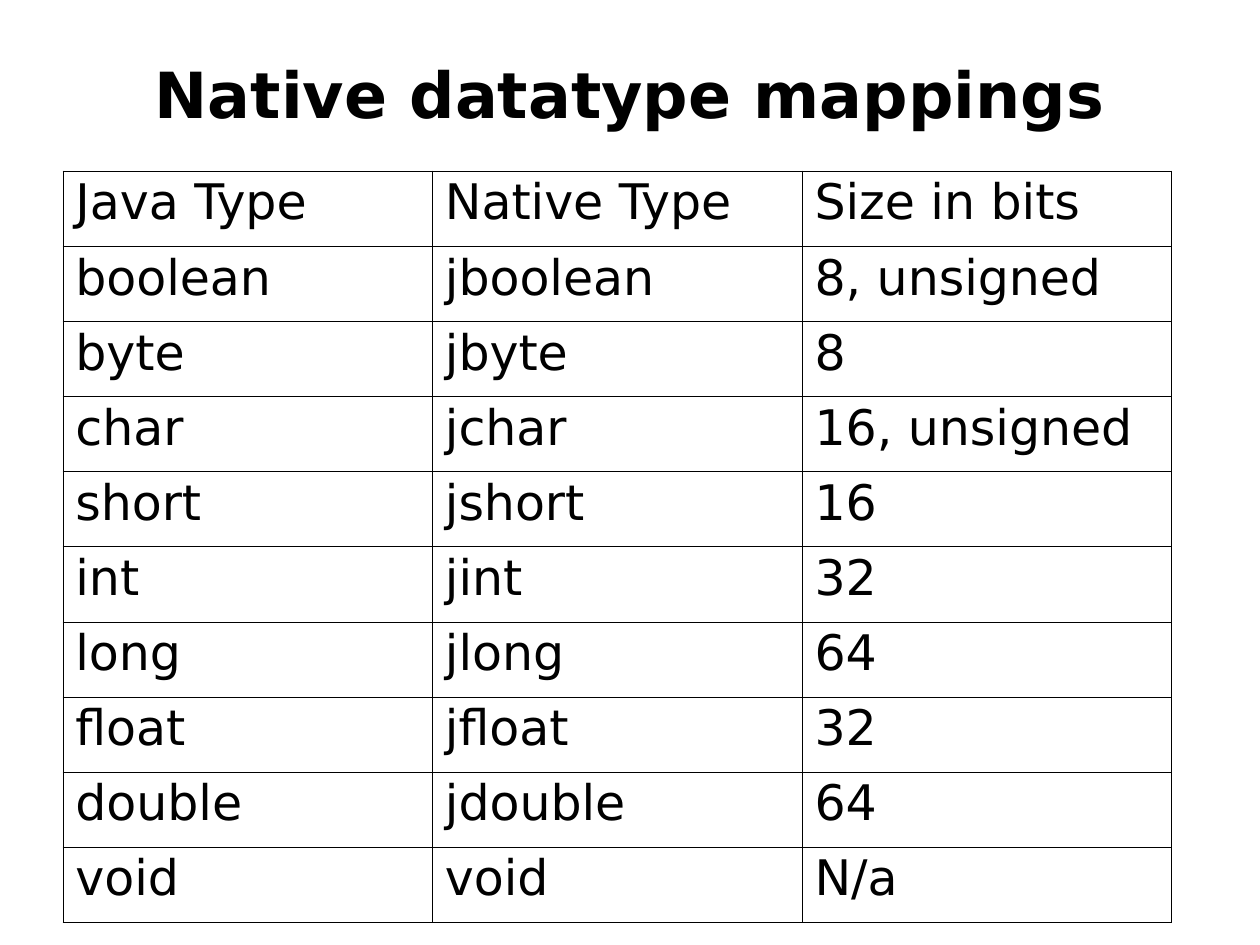
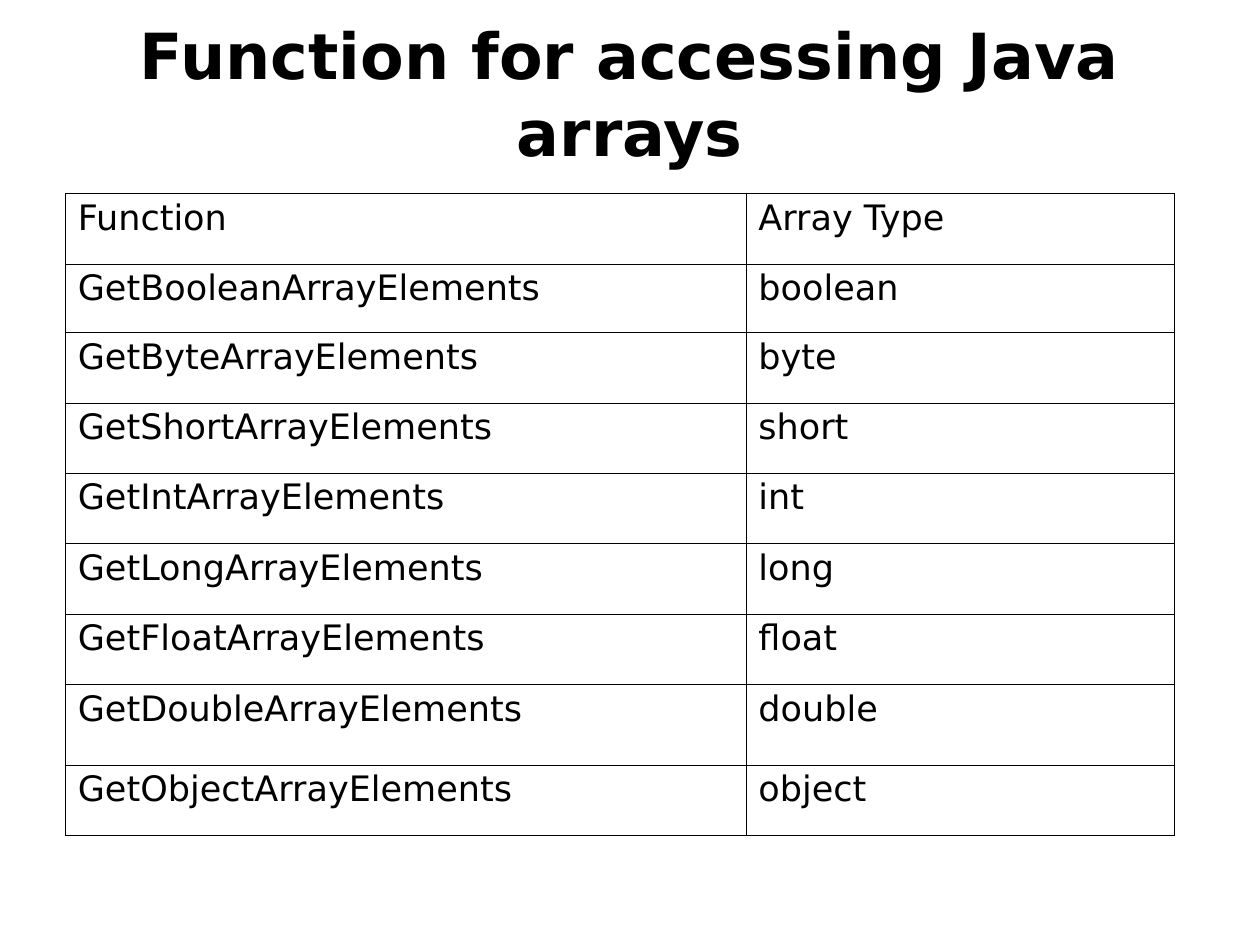
import pptx
import pptx.dml.color
import pptx.enum.text
import pptx.oxml
import pptx.oxml.ns
import pptx.util
from pptx.util import Cm

INK = "000000"
PAPER = "FFFFFF"
INNER_LINE, OUTER_LINE = 0.23, 0.5


def rgb(value):
    return pptx.dml.color.RGBColor.from_string(value)


def write(tf, text, size, font="DejaVu Sans", color=INK, bold=False,
          align=None, spacing=None, before=None):
    p = tf.paragraphs[0]
    p.alignment = align
    p.line_spacing = spacing
    p.space_before = before
    r = p.add_run()
    r.text = text
    r.font.name = font
    r.font.size = pptx.util.Pt(size)
    r.font.bold = bold
    r.font.color.rgb = rgb(color)


class Deck:
    def __init__(self):
        self.prs = pptx.Presentation()
        self.prs.slide_width = Cm(25.4)
        self.prs.slide_height = Cm(19.05)
        self.s = None

    def slide(self):
        self.s = self.prs.slides.add_slide(self.prs.slide_layouts[6])
        self.s.background.fill.solid()
        self.s.background.fill.fore_color.rgb = rgb(PAPER)

    def title(self, text, top, height):
        sp = self.s.shapes.add_textbox(Cm(1.27), Cm(top), Cm(22.86), Cm(height))
        tf = sp.text_frame
        tf.word_wrap = True
        tf.vertical_anchor = pptx.enum.text.MSO_ANCHOR.MIDDLE
        tf.margin_left = tf.margin_top = tf.margin_right = tf.margin_bottom = 0
        write(tf, text, 36.3, bold=True, align=pptx.enum.text.PP_ALIGN.CENTER)

    def table(self, rows, left, top, widths, heights, size):
        frame = self.s.shapes.add_table(
            len(rows), len(widths), Cm(left), Cm(top),
            Cm(sum(widths)), Cm(sum(heights)))
        table = frame.table
        table.first_row = table.horz_banding = False
        for column, width in zip(table.columns, widths):
            column.width = Cm(width)
        for row, height in zip(table.rows, heights):
            row.height = Cm(height)
        for i, row in enumerate(rows):
            for j, text in enumerate(row):
                cell = table.cell(i, j)
                cell.margin_left = cell.margin_right = Cm(0.25)
                cell.margin_top = cell.margin_bottom = Cm(0.13)
                write(cell.text_frame, text, size, spacing=0.93,
                      before=pptx.util.Pt(7))
                self.borders(cell, L=j == 0, R=j == len(widths) - 1,
                             T=i == 0, B=i == len(rows) - 1)
                cell.fill.background()

    def borders(self, cell, **outer_sides):
        tcPr = cell._tc.get_or_add_tcPr()
        ns = pptx.oxml.ns.nsdecls("a")
        for side, outer in outer_sides.items():
            width = pptx.util.Pt(OUTER_LINE if outer else INNER_LINE)
            tcPr.append(pptx.oxml.parse_xml(
                f'<a:ln{side} {ns} w="{width}"><a:solidFill>'
                f'<a:srgbClr val="{INK}"/></a:solidFill></a:ln{side}>'))


def main():
    deck = Deck()

    deck.slide()
    sizes = {"boolean": "8, unsigned", "byte": "8", "char": "16, unsigned",
             "short": "16", "int": "32", "long": "64", "float": "32",
             "double": "64"}
    mappings = [("Java Type", "Native Type", "Size in bits"),
                *((java, "j" + java, bits) for java, bits in sizes.items()),
                ("void", "void", "N/a")]
    deck.table(mappings, 1.27, 3.45, [7.45] * 3,
               [15.14 / len(mappings)] * len(mappings), 28)
    deck.title("Native datatype mappings", 0.76, 2.24)

    deck.slide()
    types = ["boolean", "byte", "short", "int", "long", "float", "double",
             "object"]
    functions = [("Function", "Array Type"),
                 *((f"Get{t.capitalize()}ArrayElements", t) for t in types)]
    heights = [1.42] * len(functions)
    heights[1], heights[7] = 1.38, 1.62
    deck.table(functions, 1.32, 3.9, [13.72, 8.63], heights, 20)
    deck.title("Function for accessing Java arrays", 0.38, 2.97)

    deck.prs.save("out.pptx")


if __name__ == "__main__":
    main()
